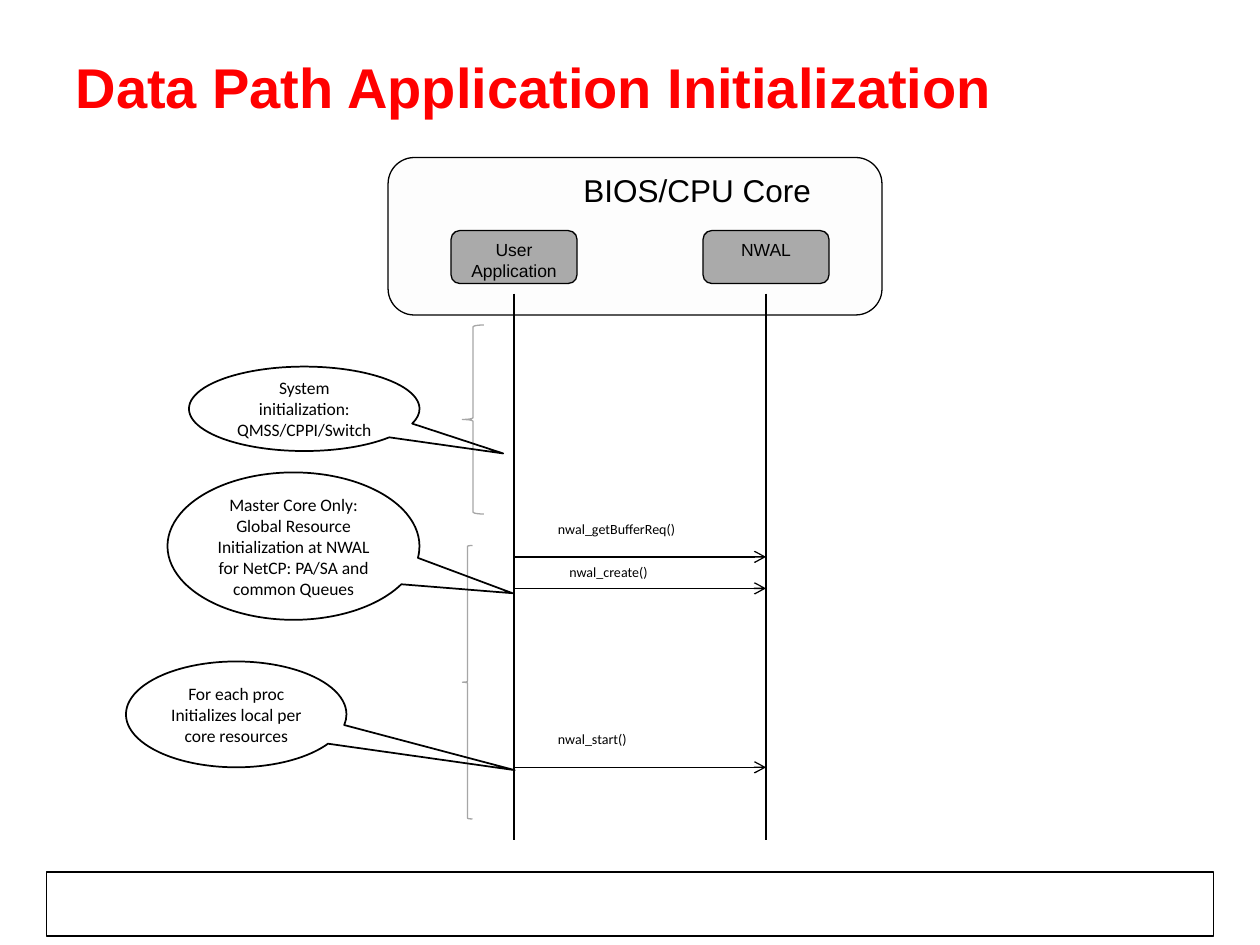
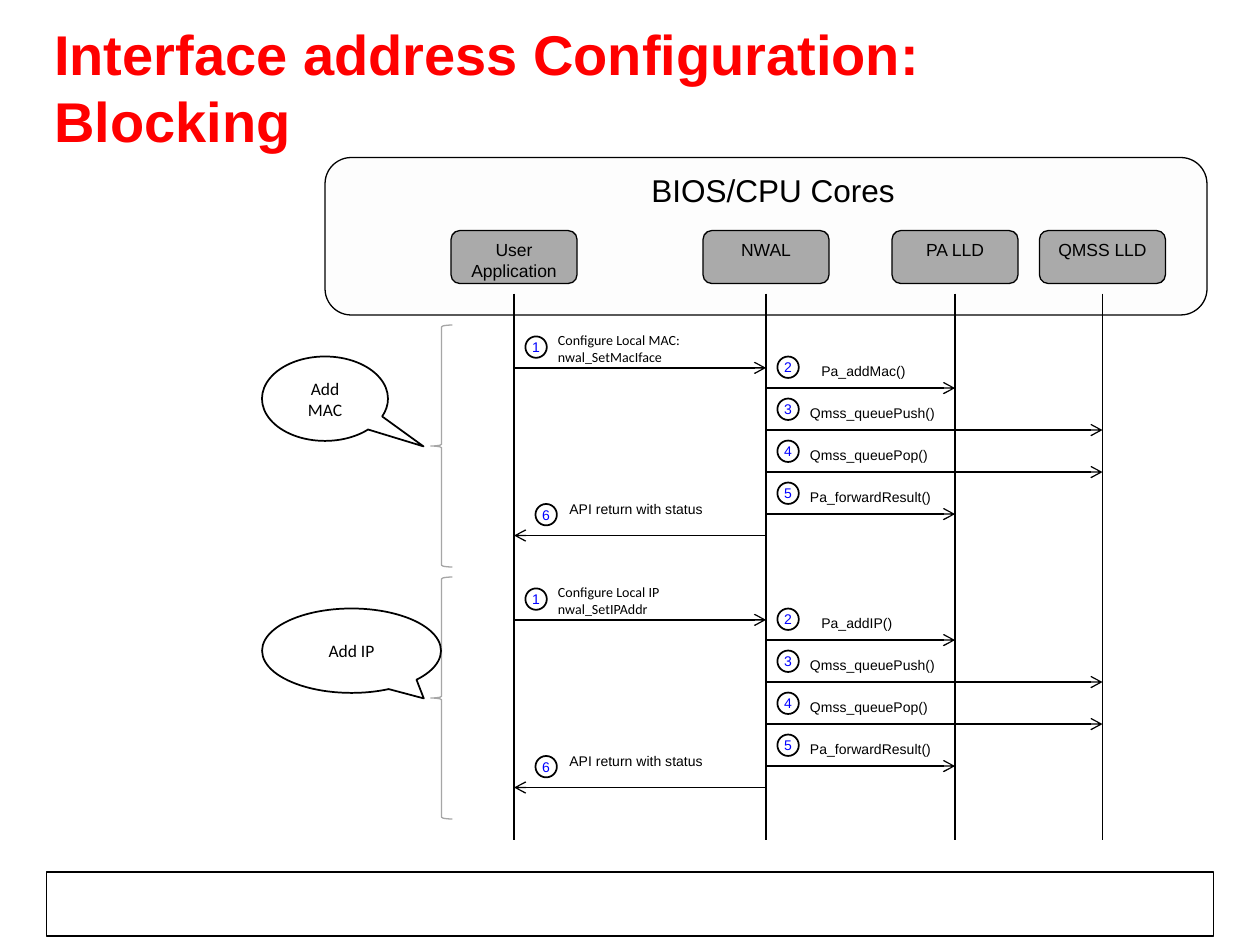
import pptx
import pptx.util
import pptx.dml.color
import pptx.enum.shapes
import pptx.enum.text
import pptx.oxml
import pptx.oxml.ns

Inches = pptx.util.Inches
Pt = pptx.util.Pt
RGBColor = pptx.dml.color.RGBColor
Shape = pptx.enum.shapes.MSO_SHAPE
Align = pptx.enum.text.PP_ALIGN
Anchor = pptx.enum.text.MSO_ANCHOR

BLACK = RGBColor(0, 0, 0)
RED = RGBColor(0xFF, 0, 0)
BLUE = RGBColor(0, 0, 0xFF)
PALE = RGBColor(0xF2, 0xF2, 0xF2)
GREY = RGBColor(0xAA, 0xAA, 0xAA)
MID = RGBColor(0xA6, 0xA6, 0xA6)

# Lifeline positions and extent
USER, NWAL, PA, QMSS = 4.08, 6.08, 7.58, 8.75
LIFE_TOP, LIFE_END = 2.33, 6.67


def child(parent, tag, **attrs):
    node = pptx.oxml.parse_xml(f"<{tag} {pptx.oxml.ns.nsdecls('a')}/>")
    for key, value in attrs.items():
        node.set(key, value)
    parent.append(node)


def write(frame, text, size, face="Arial", color=BLACK, align=Align.LEFT, bold=False):
    frame.word_wrap = True
    frame.text = text
    for para in frame.paragraphs:
        para.alignment = align
        para.font.size = Pt(size)
        para.font.name = face
        para.font.bold = bold
        para.font.color.rgb = color


def draw(slide, kind, box, fill=None, line=BLACK, width=0.75):
    shape = slide.shapes.add_shape(kind, *map(Inches, box))
    shape.shadow.inherit = False
    if fill is None:
        shape.fill.background()
    else:
        shape.fill.solid()
        shape.fill.fore_color.rgb = fill
    shape.line.color.rgb = line
    shape.line.width = Pt(width)
    return shape


def rule(slide, start, end, arrow=False):
    line = slide.shapes.add_connector(
        pptx.enum.shapes.MSO_CONNECTOR.STRAIGHT, *map(Inches, start + end))
    line.line.color.rgb = BLACK
    line.line.width = Pt(0.75)
    if arrow:
        child(line.element.spPr.get_or_add_ln(), "a:tailEnd", type="arrow")
    child(line.element.spPr, "a:effectLst")


def label(slide, left, top, width, text, face="Arial"):
    box = slide.shapes.add_textbox(*map(Inches, (left, top, width, 0.25)))
    write(box.text_frame, text, 8, face)


def badge(slide, left, top, number):
    dot = draw(slide, Shape.OVAL, (left, top, 0.17, 0.17), width=1)
    frame = dot.text_frame
    write(frame, str(number), 8, color=BLUE, align=Align.CENTER)
    frame.word_wrap = False
    frame.margin_left = frame.margin_right = 0
    frame.margin_top = frame.margin_bottom = 0
    frame.vertical_anchor = Anchor.MIDDLE


def callout(slide, box, tip, text):
    bubble = draw(slide, Shape.OVAL_CALLOUT, box, width=1)
    for i, value in enumerate(tip):
        bubble.adjustments[i] = value
    write(bubble.text_frame, text, 10, "Calibri", align=Align.CENTER)
    bubble.text_frame.vertical_anchor = Anchor.MIDDLE


def brace(slide, box):
    draw(slide, Shape.LEFT_BRACE, box, line=MID)


def header(slide, left, text):
    title = slide.shapes.title
    title.left, title.top, title.width, title.height = map(
        Inches, (left, 0.25, 9, 0.87))
    write(title.text_frame, text, 32, color=RED, bold=True)
    title.text_frame.auto_size = pptx.enum.text.MSO_AUTO_SIZE.NONE
    title.text_frame.vertical_anchor = Anchor.MIDDLE


def panel(slide, box, text, indent, actors):
    """Core panel with its actors and their lifelines."""
    core = draw(slide, Shape.ROUNDED_RECTANGLE, box, PALE)
    tint = core.element.spPr.find(".//" + pptx.oxml.ns.qn("a:srgbClr"))
    child(tint, "a:alpha", val="10000")
    write(core.text_frame, text, 18)
    core.text_frame.margin_left = Inches(indent)
    core.text_frame.vertical_anchor = Anchor.TOP
    for mid, name in actors:
        actor = draw(slide, Shape.ROUNDED_RECTANGLE,
                     (mid - 0.5, box[1] + 0.58, 1, 0.42), GREY)
        frame = actor.text_frame
        write(frame, name, 10, align=Align.CENTER)
        frame.margin_left = frame.margin_right = 0
        frame.vertical_anchor = Anchor.TOP
        rule(slide, (mid, LIFE_TOP), (mid, LIFE_END))


def setup(slide):
    """Calls and notes of the start-up sequence."""
    for left, top, y, text in ((4.33, 4.08, 4.42, "nwal_getBufferReq()"),
                               (4.42, 4.42, 4.67, "nwal_create()"),
                               (4.33, 5.75, 6.09, "nwal_start()")):
        rule(slide, (USER, y), (NWAL, y), arrow=True)
        label(slide, left, top, 1.5, text, "Calibri")
    brace(slide, (3.67, 2.58, 0.17, 1.5))
    brace(slide, (3.67, 4.33, 0.08, 2.17))
    callout(slide, (1.5, 2.91, 1.83, 0.67), (0.863, 0.529),
            "System initialization: QMSS/CPPI/Switch")
    callout(slide, (1.33, 3.75, 2, 1.17), (0.869, 0.319),
            "Master Core Only:\nGlobal Resource Initialization at NWAL "
            "for NetCP: PA/SA and common Queues")
    callout(slide, (1, 5.25, 1.75, 0.84), (1.263, 0.527),
            "For each proc\nInitializes local per core resources")


def add_address(slide, top, request, call, note, width, tip):
    """Six numbered steps that add one address."""
    brace(slide, (3.42, top, 0.17, 1.92))
    callout(slide, (2.08, top + 0.25, width, 0.67), (tip, 0.565), note)

    # Request
    rule(slide, (USER, top + 0.34), (NWAL, top + 0.34), arrow=True)
    label(slide, 4.33, top, 1.5, request, "Calibri")
    badge(slide, 4.17, top + 0.09, 1)

    # Driver calls
    calls = ((6.42, PA, call), (6.33, QMSS, "Qmss_queuePush()"),
             (6.33, QMSS, "Qmss_queuePop()"), (6.33, PA, "Pa_forwardResult()"))
    for i, (left, end, text) in enumerate(calls):
        y = top + 0.5 + i / 3
        rule(slide, (NWAL, y), (end, y), arrow=True)
        label(slide, left, y - 0.25, 1.25, text)
        badge(slide, 6.17, y - 0.25, i + 2)

    # Return
    rule(slide, (NWAL, top + 1.67), (USER, top + 1.67), arrow=True)
    label(slide, 4.42, top + 1.34, 1.58, "API return with status")
    badge(slide, 4.25, top + 1.42, 6)


def main():
    deck = pptx.Presentation()
    deck.slide_width, deck.slide_height = Inches(10), Inches(7.5)
    layout = deck.slide_layouts[5]
    first, second = (deck.slides.add_slide(layout) for _ in range(2))

    # Footer band, shared through the layout
    band = draw(first, Shape.RECTANGLE, (0.37, 6.92, 9.26, 0.51))
    layout.shapes.element.append(band.element)

    # Initialization
    actors = [(USER, "User Application"), (NWAL, "NWAL")]
    header(first, 0.5, "Data Path Application Initialization")
    panel(first, (3.08, 1.25, 3.92, 1.25), "BIOS/CPU Core", 1.49, actors)
    setup(first)

    # Address configuration
    actors += [(PA, "PA LLD"), (QMSS, "QMSS LLD")]
    header(second, 0.33, "Interface address Configuration: Blocking")
    panel(second, (2.58, 1.25, 7, 1.25), "BIOS/CPU Cores", 2.53, actors)
    add_address(second, 2.58, "Configure Local MAC:\nnwal_SetMacIface",
                "Pa_addMac()", "Add MAC", 1, 0.782)
    add_address(second, 4.58, "Configure Local IP\nnwal_SetIPAddr",
                "Pa_addIP()", "Add IP", 1.42, 0.404)

    deck.save("out.pptx")


if __name__ == "__main__":
    main()
